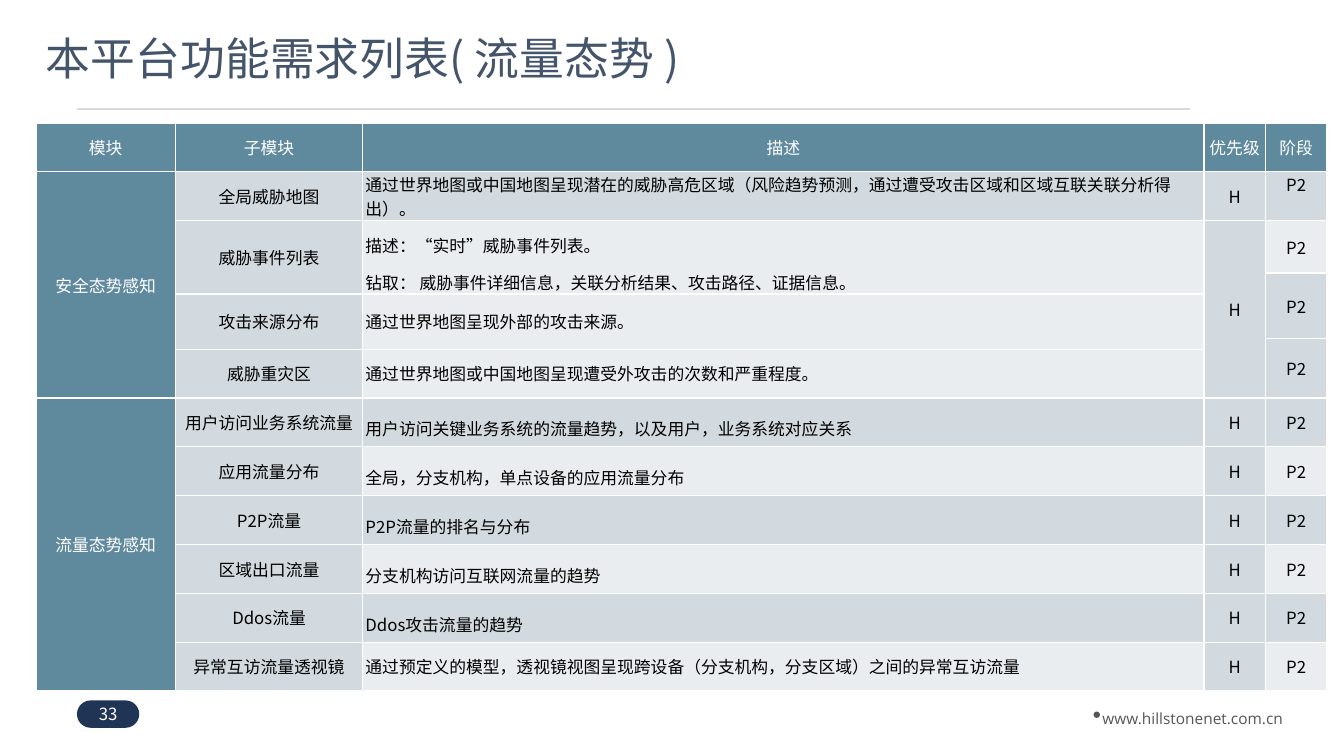
from lxml.etree import SubElement
from pptx import Presentation
from pptx.dml.color import RGBColor
from pptx.enum.shapes import MSO_CONNECTOR, MSO_SHAPE
from pptx.enum.text import MSO_ANCHOR, PP_ALIGN
from pptx.oxml.ns import qn
from pptx.util import Cm, Pt

TITLE = "本平台功能需求列表( 流量态势 )"
WEBSITE = "www.hillstonenet.com.cn"
PAGE_NUMBER = "33"

COLORS = {
    "title": "44546A", "rule": "D9D9D9", "badge": "203556", "footer": "565656",
    "head": "5F899D", "dark": "D2DADF", "light": "EAEDEF",
    "white": "FFFFFF", "black": "000000",
}
CJK, LATIN = "Noto Sans CJK SC", "Open Sans"

# Each column runs from top to bottom: (rows covered, fill, text)
MODULES = [(1, "head", "模块"), (6, "head", "安全态势感知"), (6, "head", "流量态势感知")]
SUBMODULES = [
    (1, "head", "子模块"),
    (1, "dark", "全局威胁地图"),
    (2, "dark", "威胁事件列表"),
    (2, "dark", "攻击来源分布"),
    (1, "dark", "威胁重灾区"),
    (1, "dark", "用户访问业务系统流量"),
    (1, "dark", "应用流量分布"),
    (1, "dark", "P2P流量"),
    (1, "dark", "区域出口流量"),
    (1, "dark", "Ddos流量"),
    (1, "dark", "异常互访流量透视镜"),
]
DESCRIPTIONS = [
    (1, "head", "描述"),
    (1, "dark", "通过世界地图或中国地图呈现潜在的威胁高危区域（风险趋势预测，"
                "通过遭受攻击区域和区域互联关联分析得出）。"),
    (2, "light", "描述：“实时”威胁事件列表。\n"
                 "钻取： 威胁事件详细信息，关联分析结果、攻击路径、证据信息。"),
    (2, "light", "通过世界地图呈现外部的攻击来源。"),
    (1, "light", "通过世界地图或中国地图呈现遭受外攻击的次数和严重程度。"),
    (1, "dark", "用户访问关键业务系统的流量趋势，以及用户，业务系统对应关系"),
    (1, "light", "全局，分支机构，单点设备的应用流量分布"),
    (1, "dark", "P2P流量的排名与分布"),
    (1, "light", "分支机构访问互联网流量的趋势"),
    (1, "dark", "Ddos攻击流量的趋势"),
    (1, "light", "通过预定义的模型，透视镜视图呈现跨设备（分支机构，分支区域）之间的异常互访流量"),
]
PRIORITIES = [(1, "head", "优先级"), (1, "dark", "H"), (5, "dark", "H")] + [(1, "dark", "H")] * 6
PHASES = [(1, "head", "阶段"), (1, "dark", "P2"), (1, "light", "P2"), (2, "dark", "P2"),
          (2, "dark", "P2")] + [(1, "dark", "P2"), (1, "light", "P2")] * 3
COLUMNS = [(3.51, MODULES), (4.72, SUBMODULES), (21.2, DESCRIPTIONS),
           (1.55, PRIORITIES), (1.55, PHASES)]
ROW_HEIGHTS = [1.23, 1.23, 1.32, 0.53, 1.12, 0.27] + [1.23] * 7
DESCRIPTION_COLUMN = 2
WIDE_SPACED_ROWS = {2, 7, 8, 9, 10, 11}


def color(name):
    return RGBColor.from_string(COLORS[name])


def write(frame, text, size=12, font=CJK, fill="black", align=PP_ALIGN.CENTER, spacing=None):
    frame.word_wrap = True
    for index, line in enumerate(text.split("\n")):
        paragraph = frame.add_paragraph() if index else frame.paragraphs[0]
        paragraph.alignment = align
        paragraph.line_spacing = spacing
        run = paragraph.add_run()
        run.text = line
        run.font.size, run.font.name = Pt(size), font
        run.font.color.rgb = color(fill)
        SubElement(run.font._element, qn("a:ea"), typeface=font)


def add_text(slide, box, text, anchor=MSO_ANCHOR.TOP, **style):
    frame = slide.shapes.add_textbox(*map(Cm, box)).text_frame
    frame.vertical_anchor = anchor
    write(frame, text, **style)


def add_solid(slide, kind, box, fill):
    shape = slide.shapes.add_shape(kind, *map(Cm, box))
    shape.shadow.inherit = False
    shape.fill.solid()
    shape.fill.fore_color.rgb = color(fill)
    shape.line.fill.background()
    return shape


def add_rule(slide, left, right, top):
    rule = slide.shapes.add_connector(MSO_CONNECTOR.STRAIGHT, Cm(left), Cm(top), Cm(right), Cm(top))
    rule.line.color.rgb = color("rule")
    rule.line.width = Pt(1.5)
    SubElement(rule._element.spPr, qn("a:effectLst"))


def add_borders(cell):
    properties = cell._tc.get_or_add_tcPr()
    for side in ("lnL", "lnR", "lnT", "lnB"):
        border = SubElement(properties, qn(f"a:{side}"), w=str(Pt(1)))
        fill = SubElement(border, qn("a:solidFill"))
        SubElement(fill, qn("a:srgbClr"), val=COLORS["white"])


def fill_cell(cell, row, column, fill, text):
    cell.margin_left = cell.margin_right = Cm(0.07)
    cell.margin_top = cell.margin_bottom = 0
    top_set = (row, column) == (1, len(COLUMNS) - 1)
    cell.vertical_anchor = MSO_ANCHOR.TOP if top_set else MSO_ANCHOR.MIDDLE
    add_borders(cell)
    cell.fill.solid()
    cell.fill.fore_color.rgb = color(fill)
    described = column == DESCRIPTION_COLUMN and row > 0
    write(cell.text_frame, text,
          fill="white" if fill == "head" else "black",
          align=PP_ALIGN.LEFT if described else PP_ALIGN.CENTER,
          spacing=1.5 if described and row in WIDE_SPACED_ROWS else None)


def add_requirements(slide, left, top):
    width = sum(column_width for column_width, _ in COLUMNS)
    table = slide.shapes.add_table(len(ROW_HEIGHTS), len(COLUMNS), Cm(left), Cm(top),
                                   Cm(width), Cm(sum(ROW_HEIGHTS))).table
    table.first_row = table.horz_banding = False
    for row, height in zip(table.rows, ROW_HEIGHTS):
        row.height = Cm(height)
    for column, (column_width, entries) in enumerate(COLUMNS):
        table.columns[column].width = Cm(column_width)
        row = 0
        for span, fill, text in entries:
            cell = table.cell(row, column)
            if span > 1:
                cell.merge(table.cell(row + span - 1, column))
            fill_cell(cell, row, column, fill, text)
            row += span


def main():
    deck = Presentation()
    deck.slide_width, deck.slide_height = Cm(33.87), Cm(19.05)
    slide = deck.slides.add_slide(deck.slide_layouts[6])

    add_text(slide, (27.1, 17.5, 5.92, 0.97), WEBSITE, size=11, font=LATIN,
             fill="footer", spacing=1.5)
    add_solid(slide, MSO_SHAPE.OVAL, (27.56, 17.93, 0.16, 0.16), "footer")
    add_rule(slide, 1.94, 30, 2.74)
    add_text(slide, (0.91, 0.69, 27.25, 1.68), TITLE, anchor=MSO_ANCHOR.MIDDLE, size=32,
             fill="title", align=PP_ALIGN.LEFT, spacing=0.9)
    badge = add_solid(slide, MSO_SHAPE.ROUNDED_RECTANGLE, (1.94, 17.65, 1.57, 0.69), "badge")
    badge.adjustments[0] = 0.5
    badge.text_frame.vertical_anchor = MSO_ANCHOR.MIDDLE
    write(badge.text_frame, PAGE_NUMBER, fill="white")
    add_requirements(slide, 0.91, 3.1)

    deck.save("out.pptx")


if __name__ == "__main__":
    main()
